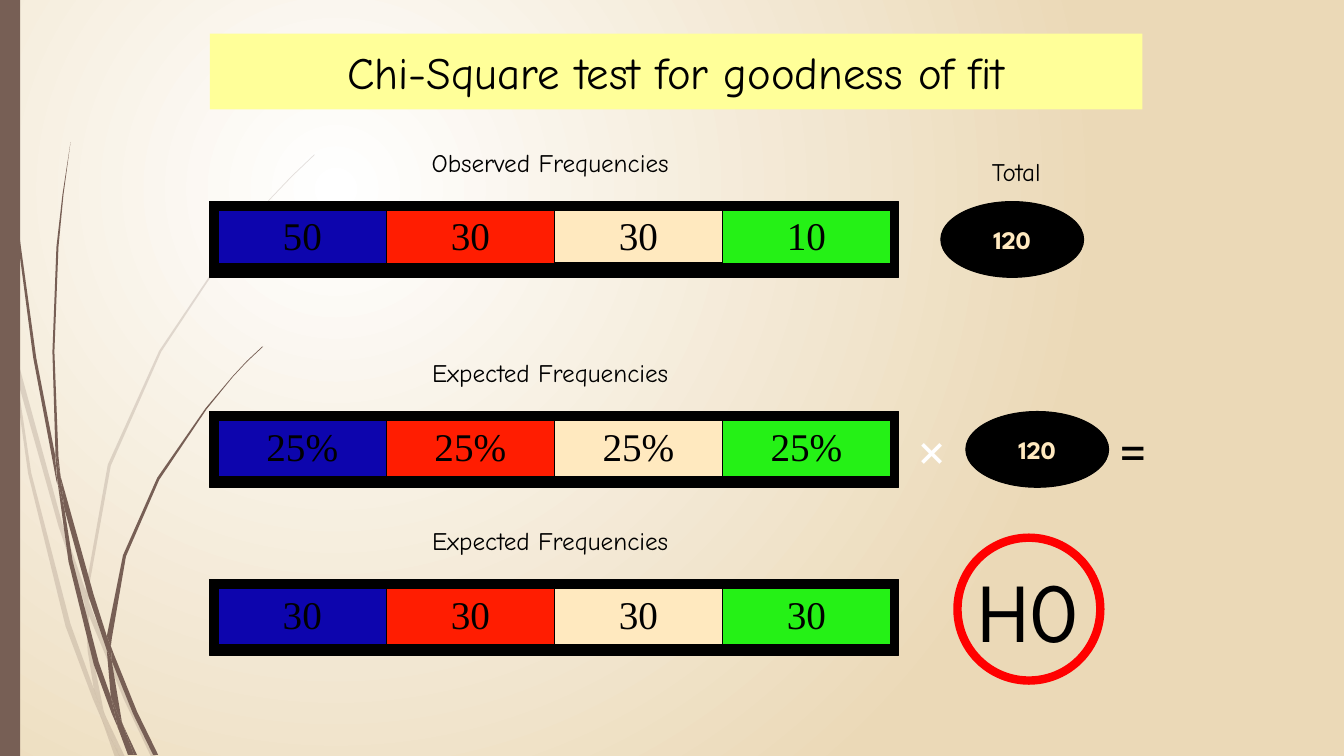
from lxml.etree import SubElement
from pptx import Presentation
from pptx.dml.color import RGBColor
from pptx.enum.shapes import MSO_SHAPE
from pptx.enum.text import MSO_ANCHOR, MSO_AUTO_SIZE, PP_ALIGN
from pptx.oxml.ns import qn
from pptx.util import Cm, Pt

BLACK = RGBColor(0x00, 0x00, 0x00)
WHITE = RGBColor(0xFF, 0xFF, 0xFF)
SAND = RGBColor(0xEB, 0xD9, 0xB7)
BROWN = RGBColor(0x77, 0x5F, 0x55)
YELLOW = RGBColor(0xFF, 0xFF, 0x99)
BLUE = RGBColor(0x0D, 0x05, 0xAD)
RED = RGBColor(0xFF, 0x1D, 0x01)
CREAM = RGBColor(0xFF, 0xE9, 0xBF)
GREEN = RGBColor(0x25, 0xF1, 0x16)
RING_RED = RGBColor(0xFF, 0x00, 0x00)
CATEGORY_COLORS = (BLUE, RED, CREAM, GREEN)

HAND_FONT = "Comic Neue"
SYMBOL_FONT = "League Spartan"
CELL_FONT = "Times New Roman"

BAND_LEFT, BAND_WIDTH, BAND_HEIGHT = 5.29, 17.36, 1.91
TABLE_WIDTH = 16.94

# Band top, row height, heading and cell values
FREQUENCY_BANDS = (
    (5.08, 1.33, "Observed Frequencies", ("50", "30", "30", "10")),
    (10.37, 1.43, "Expected Frequencies", ("25%",) * 4),
    (14.6, 1.43, "Expected Frequencies", ("30",) * 4),
)

# Corners of the grass pieces, in hundredths of an inch
GRASS_UNIT = Cm(0.0254)
PALE_GRASS = (
    ((11, 350), (9, 322), (0, 282), (0, 299), (10, 344)),
    ((58, 522), (84, 599), (85, 586), (62, 520), (14, 345), (17, 376)),
    ((92, 607), (88, 596), (88, 610), (123, 694), (150, 751), (155, 751),
     (127, 692)),
    ((119, 751), (124, 751), (105, 711)),
    ((93, 683), (70, 619), (31, 469), (17, 376), (11, 350), (28, 470),
     (65, 621), (92, 693), (101, 714), (99, 707)),
    ((84, 599), (87, 646), (93, 683), (96, 692), (105, 711), (103, 706),
     (91, 646), (88, 610), (88, 608)),
    ((88, 584), (110, 462), (160, 349), (229, 245), (268, 198), (290, 175),
     (312, 154), (312, 153), (289, 175), (268, 197), (228, 244), (158, 348),
     (107, 461), (85, 584), (85, 586), (88, 596)),
    ((101, 714), (114, 751), (119, 751)),
    ((88, 608), (88, 610), (88, 596), (85, 586), (84, 599)),
    ((96, 692), (93, 683), (99, 707), (101, 714), (119, 751), (105, 711)),
)
DARK_GRASS = (
    ((7, 110), (17, 233), (33, 355), (56, 477), (57, 481), (55, 457),
     (55, 453), (36, 355), (19, 232), (8, 109), (5, 48), (4, 0), (3, 0),
     (4, 48)),
    ((88, 592), (106, 645), (106, 633), (106, 631), (93, 590), (60, 472),
     (64, 505)),
    ((113, 649), (110, 641), (111, 656), (132, 708), (152, 749), (157, 749),
     (136, 706)),
    ((110, 691), (98, 657), (72, 556), (64, 505), (57, 477), (68, 557),
     (93, 659), (111, 708), (117, 722), (116, 717)),
    ((60, 472), (58, 453), (54, 349), (58, 245), (63, 193), (70, 141),
     (62, 193), (56, 245), (52, 349), (55, 449)),
    ((133, 749), (136, 749), (122, 719)),
    ((57, 477), (64, 505), (60, 472), (55, 449), (55, 453)),
    ((111, 633), (125, 552), (158, 476), (205, 406), (231, 374), (245, 359),
     (261, 344), (260, 344), (245, 358), (231, 373), (204, 405), (156, 474),
     (122, 551), (106, 631), (110, 641)),
    ((117, 722), (127, 749), (131, 749)),
    ((106, 645), (110, 691), (116, 706), (122, 719), (121, 716), (111, 656),
     (109, 651)),
    ((106, 645), (109, 651), (111, 656), (110, 641), (106, 631), (106, 633)),
    ((116, 706), (110, 691), (116, 717), (117, 722), (130, 749), (133, 749),
     (122, 719)),
)


def paint_background(slide):
    fill = slide.background.fill
    fill.gradient()
    for stop, color in zip(fill.gradient_stops, (WHITE, SAND)):
        stop.color.rgb = color
    gradient = slide.element.find(".//" + qn("a:gradFill"))
    gradient.remove(gradient.find(qn("a:lin")))
    circle = SubElement(gradient, qn("a:path"), path="circle")
    SubElement(circle, qn("a:fillToRect"),
               l="50000", t="50000", r="100000", b="100000")


def add_grass(slide, pieces, opacity):
    tuft = slide.shapes.add_group_shape()
    for corners in pieces:
        builder = tuft.shapes.build_freeform(*corners[0], scale=1 / GRASS_UNIT
                                             if GRASS_UNIT < 1 else GRASS_UNIT)
        builder.add_line_segments(corners[1:])
        piece = builder.convert_to_shape()
        paint(piece, BROWN)
        color = piece.element.spPr.find(".//" + qn("a:srgbClr"))
        SubElement(color, qn("a:alpha"), val=str(opacity * 1000))


def paint(shape, fill=None, line=None, line_width=0.75):
    shape.shadow.inherit = False
    if fill is None:
        shape.fill.background()
    else:
        shape.fill.solid()
        shape.fill.fore_color.rgb = fill
    if line is None:
        shape.line.fill.background()
    else:
        shape.line.color.rgb = line
        shape.line.width = Pt(line_width)


def write(frame, text, font, size, color=BLACK, bold=False):
    frame.text = text
    paragraph = frame.paragraphs[0]
    paragraph.alignment = PP_ALIGN.CENTER
    paragraph.font.name = font
    paragraph.font.size = Pt(size)
    paragraph.font.bold = bold
    paragraph.font.color.rgb = color


def place_title(slide, text):
    title = slide.shapes.title
    title.left, title.top, title.width, title.height = (
        Cm(5.29), Cm(0.85), Cm(23.5), Cm(1.91))
    title.fill.solid()
    title.fill.fore_color.rgb = YELLOW
    frame = title.text_frame
    frame.auto_size = MSO_AUTO_SIZE.NONE
    frame.vertical_anchor = MSO_ANCHOR.MIDDLE
    write(frame, text, HAND_FONT, 32)


def add_label(slide, left, top, width, height, text, font, size, color=BLACK):
    label = slide.shapes.add_textbox(Cm(left), Cm(top), Cm(width), Cm(height))
    label.text_frame.word_wrap = True
    write(label.text_frame, text, font, size, color)


def add_rectangle(slide, left, top, width, height, fill, line=None):
    rectangle = slide.shapes.add_shape(
        MSO_SHAPE.RECTANGLE, Cm(left), Cm(top), Cm(width), Cm(height))
    paint(rectangle, fill, line)


def add_oval(slide, left, top, height, text, size, color, bold=False, **style):
    oval = slide.shapes.add_shape(
        MSO_SHAPE.OVAL, Cm(left), Cm(top), Cm(3.6), Cm(height))
    paint(oval, **style)
    oval.text_frame.word_wrap = False
    oval.text_frame.vertical_anchor = MSO_ANCHOR.MIDDLE
    write(oval.text_frame, text, SYMBOL_FONT, size, color, bold)


def set_borders(cell, bottom_width):
    properties = cell._tc.get_or_add_tcPr()
    widths = {"a:lnL": 1, "a:lnR": 1, "a:lnT": 1, "a:lnB": bottom_width}
    for position, (side, width) in enumerate(widths.items()):
        border = properties.makeelement(qn(side), {"w": str(Pt(width))})
        fill = SubElement(border, qn("a:solidFill"))
        SubElement(fill, qn("a:srgbClr"), val=str(BLACK))
        properties.insert(position, border)


def add_frequency_band(slide, top, row_height, heading, values):
    add_rectangle(slide, BAND_LEFT, top, BAND_WIDTH, BAND_HEIGHT, BLACK, BLACK)
    table = slide.shapes.add_table(
        1, len(values), Cm(BAND_LEFT + 0.21), Cm(top + 0.22),
        Cm(TABLE_WIDTH), Cm(row_height)).table
    table.first_row = table.horz_banding = False
    for cell, value, color in zip(table.rows[0].cells, values, CATEGORY_COLORS):
        cell.fill.solid()
        cell.fill.fore_color.rgb = color
        cell.margin_top = cell.margin_bottom = 0
        cell.vertical_anchor = MSO_ANCHOR.MIDDLE
        write(cell.text_frame, value, CELL_FONT, 28)
        set_borders(cell, 2.25 if color == CREAM else 1)
    add_label(slide, 6.14, top - 1.48, 15.45, 1.02, heading, HAND_FONT, 18)


def main():
    deck = Presentation()
    deck.slide_width, deck.slide_height = Cm(33.87), Cm(19.05)
    slide = deck.slides.add_slide(deck.slide_layouts[5])

    paint_background(slide)
    add_grass(slide, PALE_GRASS, 20)
    add_grass(slide, DARK_GRASS, 100)
    add_rectangle(slide, 0, 0, 0.51, 19.05, BROWN)
    place_title(slide, "Chi-Square test for goodness of fit")

    for band in FREQUENCY_BANDS:
        add_frequency_band(slide, *band)

    add_label(slide, 24.13, 3.81, 2.96, 1.02, "Total", HAND_FONT, 18)
    for left, top in ((23.71, 5.08), (24.34, 10.37)):
        add_oval(slide, left, top, BAND_HEIGHT, "120", 18, CREAM, bold=True,
                 fill=BLACK, line=BLACK)
    for left, sign, color in ((22.01, "×", WHITE), (27.09, "=", BLACK)):
        add_label(slide, left, 10.37, 2.96, 1.96, sign, SYMBOL_FONT, 40, color)
    add_oval(slide, 24.13, 13.55, 3.6, "H0", 60, BLACK,
             line=RING_RED, line_width=6)

    deck.save("out.pptx")


if __name__ == "__main__":
    main()
